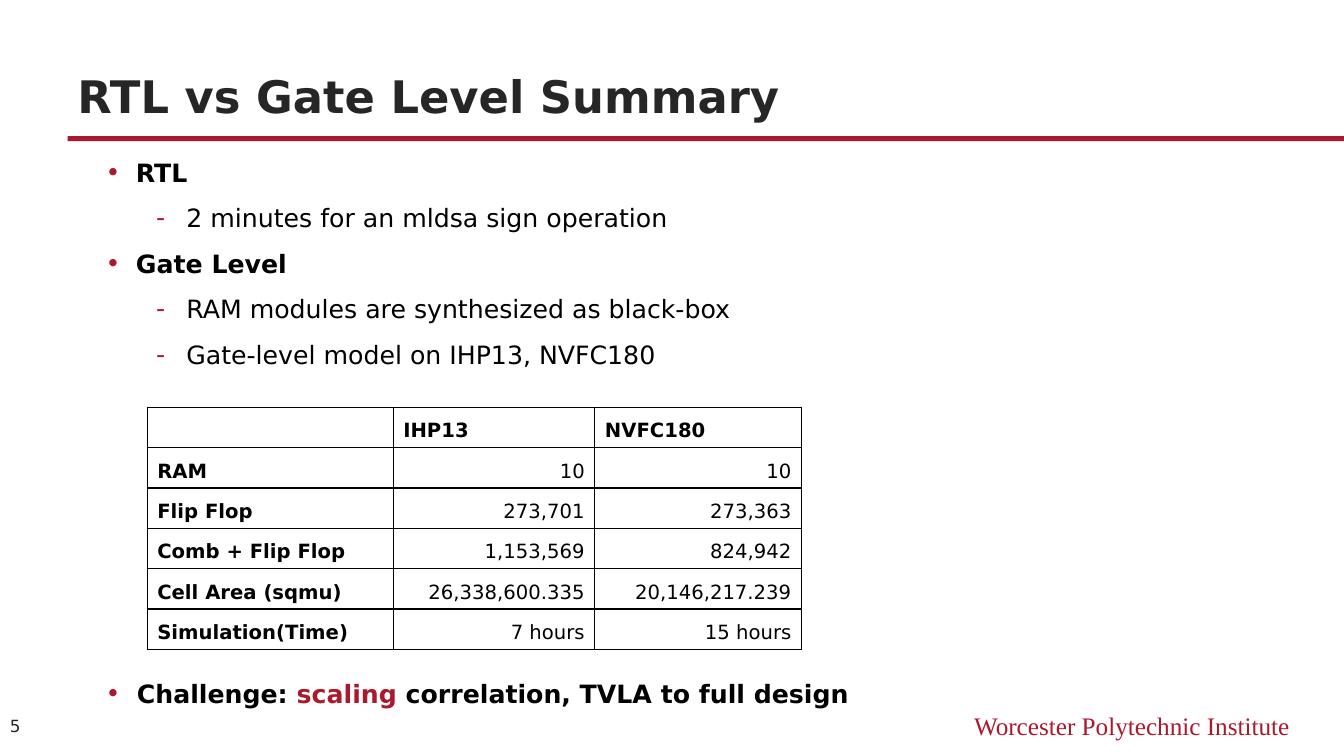
from lxml import etree
from pptx import Presentation
from pptx.dml.color import RGBColor
from pptx.enum.shapes import MSO_SHAPE
from pptx.enum.text import MSO_ANCHOR, PP_ALIGN
from pptx.oxml.ns import qn
from pptx.util import Inches, Pt

RECTANGLE = MSO_SHAPE.RECTANGLE
TOP, MIDDLE, BOTTOM = MSO_ANCHOR.TOP, MSO_ANCHOR.MIDDLE, MSO_ANCHOR.BOTTOM
LEFT, RIGHT = PP_ALIGN.LEFT, PP_ALIGN.RIGHT
RED, DARK, BLACK = "AB192D", "262626", "000000"
SANS, SERIF = "DejaVu Sans", "Times New Roman"

color = RGBColor.from_string


def style(para, size, fill, bold=False, name=SANS, bullet=None, indent=0, hang=0):
    """Set the bullet, if any, and then the font of a paragraph."""
    if bullet:
        properties = para._p.get_or_add_pPr()
        properties.set("marL", str(Inches(indent)))
        properties.set("indent", str(-Inches(hang)))
        bullet_color = etree.SubElement(properties, qn("a:buClr"))
        etree.SubElement(bullet_color, qn("a:srgbClr"), val=RED)
        etree.SubElement(properties, qn("a:buFont"), typeface=SANS)
        etree.SubElement(properties, qn("a:buChar"), char=bullet)
    font = para.font
    font.size, font.bold, font.name = Pt(size), bold, name
    font.color.rgb = color(fill)


def add_text_frame(left, top, width, height, anchor=TOP, wrap=True):
    box = slide.shapes.add_textbox(Inches(left), Inches(top), Inches(width), Inches(height))
    frame = box.text_frame
    frame.word_wrap = wrap
    frame.vertical_anchor = anchor
    return frame


deck = Presentation()
deck.slide_width, deck.slide_height = Inches(13.33), Inches(7.5)
slide = deck.slides.add_slide(deck.slide_layouts[6])

# Title, rule and footer
rule = slide.shapes.add_shape(RECTANGLE, Inches(0.67), Inches(1.35), Inches(12.66), Inches(0.05))
rule.shadow.inherit = False
rule.fill.solid()
rule.fill.fore_color.rgb = color(RED)
rule.line.fill.background()

labels = [
    ("Worcester Polytechnic Institute", (8, 7, 4.89, 0.4), TOP, RIGHT, 18, RED, False, SERIF),
    ("RTL vs Gate Level Summary", (0.67, 0.38, 12, 0.88), BOTTOM, LEFT, 32, DARK, True, SANS),
    ("5", (0, 6.99, 0.67, 0.43), MIDDLE, LEFT, 12, DARK, False, SANS),
]
for text, place, anchor, align, size, fill, bold, name in labels:
    para = add_text_frame(*place, anchor=anchor).paragraphs[0]
    para.text = text
    para.alignment = align
    style(para, size, fill, bold, name)

# Bulleted summary
points = [
    ("RTL", 1),
    ("2 minutes for an mldsa sign operation", 2),
    ("Gate Level", 1),
    ("RAM modules are synthesized as black-box", 2),
    ("Gate-level model on IHP13, NVFC180", 2),
]
summary = add_text_frame(0.95, 1.53, 6.48, 2.52, wrap=False)
for index, (text, level) in enumerate(points):
    para = summary.add_paragraph() if index else summary.paragraphs[0]
    para.text = text
    para.line_spacing = 0.95
    para.space_before = Pt(12 if index else 0)
    if level == 1:
        style(para, 18, BLACK, True, bullet="•", indent=0.3, hang=0.3)
    else:
        style(para, 18, BLACK, bullet="-", indent=0.8, hang=0.3)

# Comparison table
rows = [
    ("", "IHP13", "NVFC180"),
    ("RAM", "10", "10"),
    ("Flip Flop", "273,701", "273,363"),
    ("Comb + Flip Flop", "1,153,569", "824,942"),
    ("Cell Area (sqmu)", "26,338,600.335", "20,146,217.239"),
    ("Simulation(Time)", "7 hours", "15 hours"),
]
widths = [2.44, 2, 2.05]
table = slide.shapes.add_table(
    len(rows), len(widths), Inches(1.46), Inches(4.04), Inches(sum(widths)), Inches(0.4 * len(rows))
).table
for column, width in zip(table.columns, widths):
    column.width = Inches(width)
for row_index, values in enumerate(rows):
    table.rows[row_index].height = Inches(0.4)
    for column_index, value in enumerate(values):
        cell = table.cell(row_index, column_index)
        is_header = row_index == 0 or column_index == 0
        para = cell.text_frame.paragraphs[0]
        para.text = value
        para.line_spacing = Pt(21.6)
        para.alignment = LEFT if is_header else RIGHT
        style(para, 14, BLACK, is_header)
        properties = cell._tc.get_or_add_tcPr()
        for side in ("lnL", "lnR", "lnT", "lnB"):
            border = etree.SubElement(properties, qn(f"a:{side}"), w=str(Pt(1)))
            border_fill = etree.SubElement(border, qn("a:solidFill"))
            etree.SubElement(border_fill, qn("a:srgbClr"), val=BLACK)
        cell.fill.background()

# Closing challenge
challenge = add_text_frame(0.95, 6.68, 8.11, 0.45, wrap=False).paragraphs[0]
style(challenge, 18, BLACK, True, bullet="•", indent=0.31, hang=0.31)
for text, fill in [
    ("Challenge: ", BLACK),
    ("scaling ", RED),
    ("correlation, TVLA to full design", BLACK),
]:
    span = challenge.add_run()
    span.text = text
    span.font.color.rgb = color(fill)

deck.save("out.pptx")
